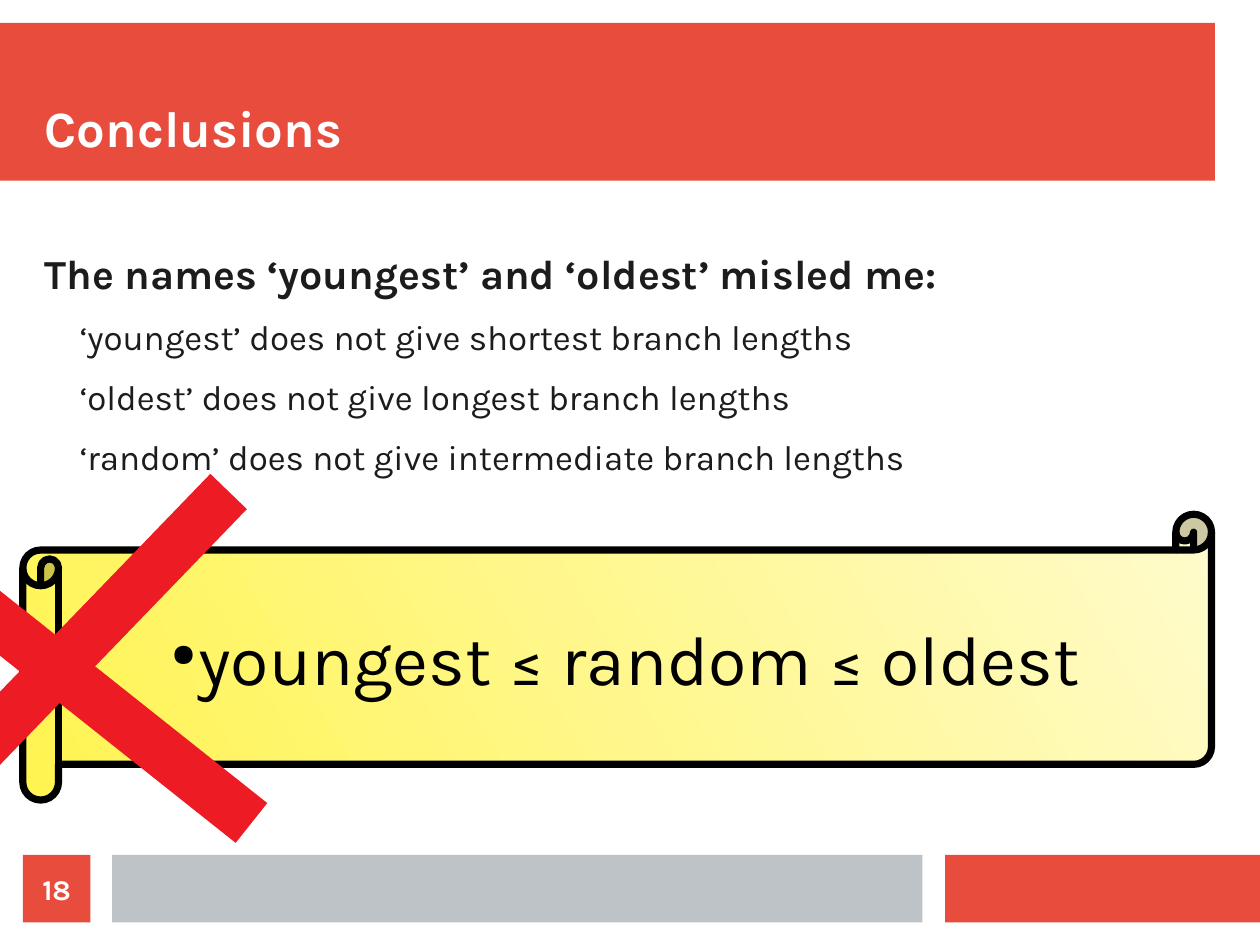
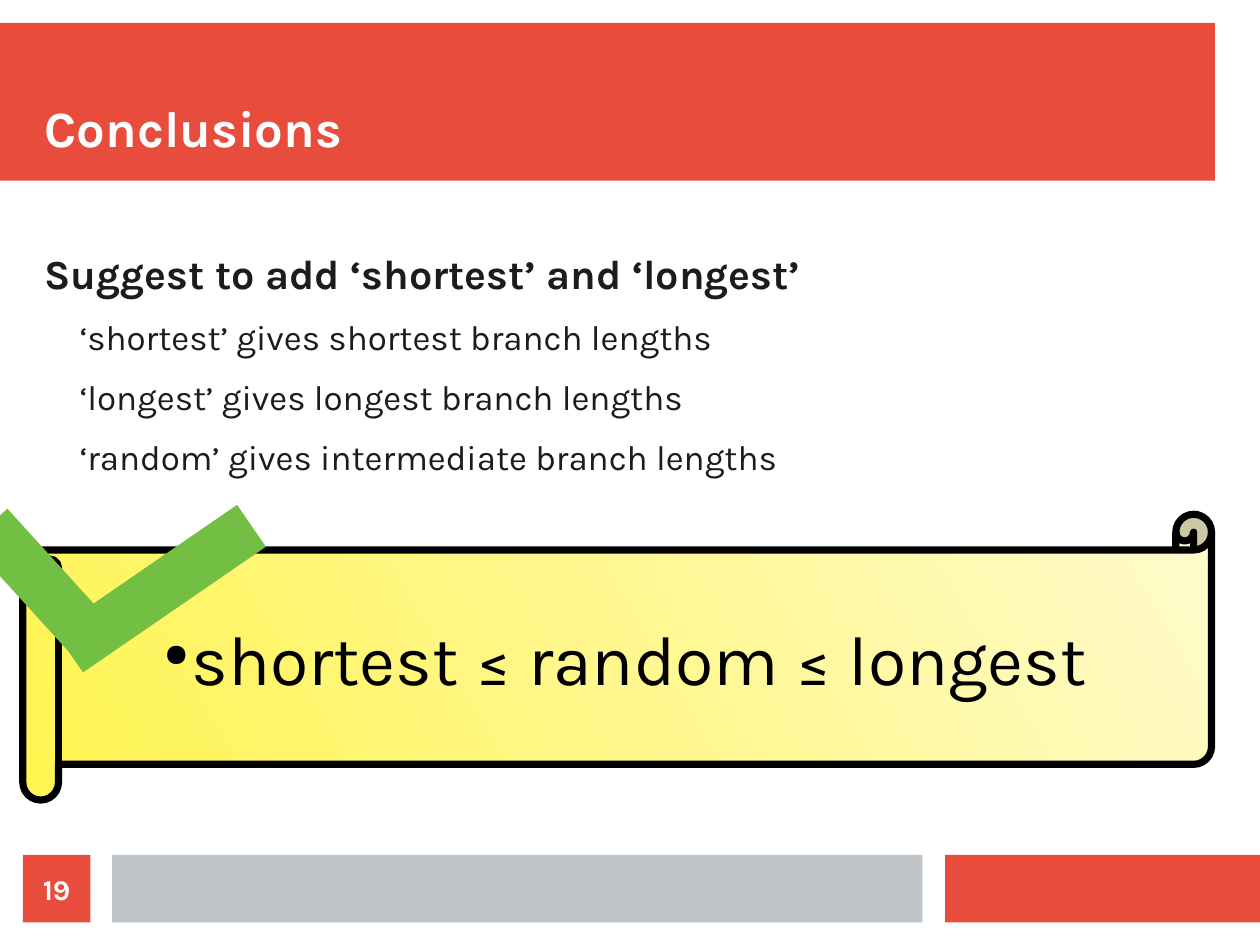
from lxml import etree
from pptx import Presentation
from pptx.dml.color import RGBColor
from pptx.enum.shapes import MSO_CONNECTOR, MSO_SHAPE
from pptx.enum.text import MSO_ANCHOR, PP_ALIGN
from pptx.oxml.ns import qn
from pptx.util import Inches, Pt

RED = RGBColor(0xE7, 0x4C, 0x3C)
GREY = RGBColor(0xBD, 0xC3, 0xC7)
WHITE = RGBColor(0xFF, 0xFF, 0xFF)
BLACK = RGBColor(0, 0, 0)
INK = RGBColor(0x1C, 0x1C, 0x1C)
PALE_YELLOW = RGBColor(0xFF, 0xFB, 0xCC)
YELLOW = RGBColor(0xFF, 0xF4, 0x50)
CROSS_RED = RGBColor(0xED, 0x1C, 0x24)
CHECK_GREEN = RGBColor(0x72, 0xBF, 0x44)
FONT = "Karla"
BULLET_FONT = "OpenSymbol"
CM_PER_INCH = 2.54
SLIDE_WIDTH, SLIDE_HEIGHT = 28 / CM_PER_INCH, 21 / CM_PER_INCH
FOOTER_TOP, FOOTER_HEIGHT = 7.48, 0.59

SLIDES = [
    {
        "number": 18,
        "heading": "The names ‘youngest’ and ‘oldest’ misled me:",
        "points": [
            "‘youngest’ does not give shortest branch lengths",
            "‘oldest’ does not give longest branch lengths",
            "‘random’ does not give intermediate branch lengths",
        ],
        "claim": "youngest ≤ random ≤ oldest",
        "mark_color": CROSS_RED,
        "strokes": [(-0.8, 7.2, 2, 4.3), (-1.2, 4.5, 2.2, 7.2)],
    },
    {
        "number": 19,
        "heading": "Suggest to add ‘shortest’ and ‘longest’",
        "points": [
            "‘shortest’ gives shortest branch lengths",
            "‘longest’ gives longest branch lengths",
            "‘random’ gives intermediate branch lengths",
        ],
        "claim": "shortest ≤ random ≤ longest",
        "mark_color": CHECK_GREEN,
        "strokes": [(0.6, 5.7, 2.2, 4.6), (-0.1, 4.6, 0.9, 5.7)],
    },
]


def set_frame(tf, anchor, margin_x=0, margin_y=0, wrap=True):
    tf.word_wrap = wrap
    tf.vertical_anchor = anchor
    tf.margin_left = tf.margin_right = Inches(margin_x)
    tf.margin_top = tf.margin_bottom = Inches(margin_y)


def add_run(p, text, size, color, bold=False):
    r = p.add_run()
    r.text = text
    r.font.name = FONT
    r.font.size = Pt(size)
    r.font.bold = bold
    r.font.color.rgb = color


def set_indent(p, left, first=0):
    pPr = p._p.get_or_add_pPr()
    pPr.set("marL", str(Inches(left)))
    pPr.set("indent", str(Inches(first)))
    return pPr


def set_bullet(p, char, color, percent):
    pPr = set_indent(p, 0.24, -0.24)
    bu_color = etree.SubElement(pPr, qn("a:buClr"))
    etree.SubElement(bu_color, qn("a:srgbClr")).set("val", str(color))
    etree.SubElement(pPr, qn("a:buSzPct")).set("val", str(percent * 1000))
    etree.SubElement(pPr, qn("a:buFont")).set("typeface", BULLET_FONT)
    etree.SubElement(pPr, qn("a:buChar")).set("char", char)


def add_textbox(s, left, top, width, height, anchor):
    box = s.shapes.add_textbox(Inches(left), Inches(top), Inches(width), Inches(height))
    set_frame(box.text_frame, anchor)
    return box.text_frame


def add_preset(s, kind, left, top, width, height):
    sp = s.shapes.add_shape(kind, Inches(left), Inches(top), Inches(width), Inches(height))
    sp.shadow.inherit = False
    return sp


def add_band(s, left, top, width, height, color):
    sp = add_preset(s, MSO_SHAPE.RECTANGLE, left, top, width, height)
    sp.fill.solid()
    sp.fill.fore_color.rgb = color
    sp.line.fill.background()
    return sp


def add_frame(s, title):
    add_band(s, 0, 0.2, 10.63, 1.38, RED)
    add_band(s, 8.27, FOOTER_TOP, SLIDE_WIDTH - 8.27, FOOTER_HEIGHT, RED)
    add_band(s, 0.98, FOOTER_TOP, 7.09, FOOTER_HEIGHT, GREY)
    tf = add_textbox(s, 0.39, 0.4, 10.24, 0.98, MSO_ANCHOR.BOTTOM)
    add_run(tf.paragraphs[0], title, 32, WHITE, True)


def add_body(s, heading, points):
    tf = add_textbox(s, 0.39, 2.17, 10.04, 5.12, MSO_ANCHOR.TOP)
    p = tf.paragraphs[0]
    p.space_after = Pt(11.4)
    add_run(p, heading, 26, INK, True)
    for point in points:
        p = tf.add_paragraph()
        p.level = 1
        p.space_after = Pt(11.3)
        set_indent(p, 0.31)
        add_run(p, point, 22, INK)


def add_scroll(s, claim):
    sp = add_preset(s, MSO_SHAPE.HORIZONTAL_SCROLL, 0.2, 4.5, 10.4, 2.5)
    sp.adjustments[0] = 0.125
    sp.fill.gradient()
    sp.fill.gradient_angle = 210
    for stop, color in zip(sp.fill.gradient_stops, (PALE_YELLOW, YELLOW)):
        stop.color.rgb = color
    sp.line.color.rgb = BLACK
    sp.line.width = Pt(4.5)
    set_frame(sp.text_frame, MSO_ANCHOR.MIDDLE, 0.13, 0.08, wrap=False)
    p = sp.text_frame.paragraphs[0]
    p.alignment = PP_ALIGN.CENTER
    set_bullet(p, "●", BLACK, 45)
    add_run(p, claim, 44, BLACK)


def add_stroke(s, ends, color):
    line = s.shapes.add_connector(MSO_CONNECTOR.STRAIGHT, *map(Inches, ends))
    line.line.color.rgb = color
    line.line.width = Pt(32)
    etree.SubElement(line._element.spPr, qn("a:effectLst"))


def add_page_number(s, number):
    sp = add_band(s, 0.2, FOOTER_TOP, FOOTER_HEIGHT, FOOTER_HEIGHT, RED)
    set_frame(sp.text_frame, MSO_ANCHOR.MIDDLE)
    p = sp.text_frame.paragraphs[0]
    p.alignment = PP_ALIGN.CENTER
    add_run(p, str(number), 18, WHITE, True)


def main():
    prs = Presentation()
    prs.slide_width, prs.slide_height = Inches(SLIDE_WIDTH), Inches(SLIDE_HEIGHT)
    for content in SLIDES:
        s = prs.slides.add_slide(prs.slide_layouts[6])
        add_frame(s, "Conclusions")
        add_body(s, content["heading"], content["points"])
        add_scroll(s, content["claim"])
        for ends in content["strokes"]:
            add_stroke(s, ends, content["mark_color"])
        add_page_number(s, content["number"])
    prs.save("out.pptx")


if __name__ == "__main__":
    main()
